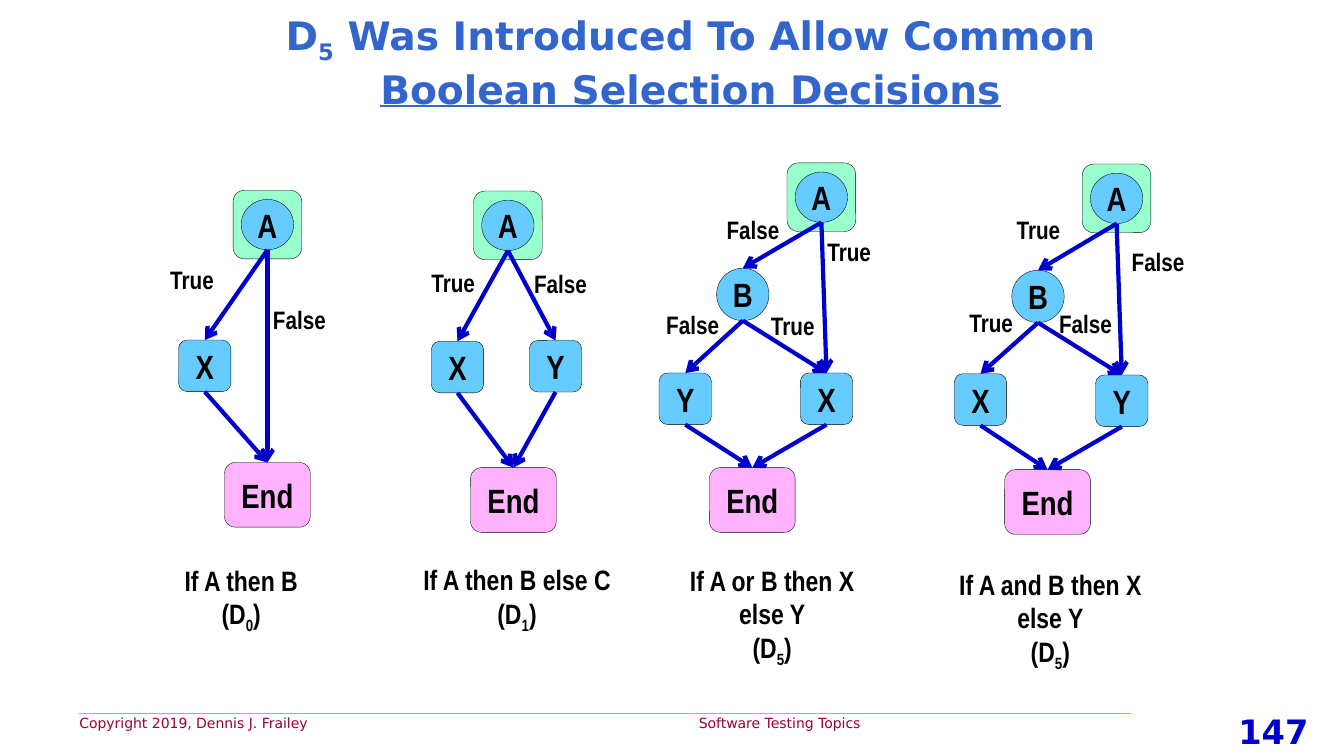
from lxml import etree
from pptx import Presentation
from pptx.dml.color import RGBColor
from pptx.enum import shapes, text
from pptx.oxml.ns import qn
from pptx.util import Cm, Pt

# Content: text pieces are (wording, style); lengths are centimetres
TITLE = [("D", ""), ("5", "sub"), (" Was Introduced To Allow Common ", ""),
         ("Boolean Selection Decisions", "underline")]
FOOTER = "Copyright 2019, Dennis J. Frailey\t Software Testing Topics"
PAGE = "147"

# Nodes by centre, arrows by node names, branch labels by left and top,
# caption by centre, top and width
DIAGRAMS = [
    dict(nodes={"A": (6.74, 5.66), "X": (5.16, 9.22), "End": (6.74, 12.47)},
         arrows=[("X", "End"), ("A", "X"), ("A", "End")],
         labels=[("True", 4.04, 6.53), ("False", 6.63, 7.54)],
         caption=("If A then B", "0", 6.08, 14.07, 4.04)),
    dict(nodes={"A": (12.8, 5.68), "X": (11.53, 9.25), "Y": (14, 9.23),
                "End": (12.94, 12.6)},
         arrows=[("X", "End"), ("Y", "End"), ("A", "X"), ("A", "Y")],
         labels=[("True", 10.62, 6.6), ("False", 13.21, 6.63)],
         caption=("If A then B else C", "1", 13.03, 14.05, 5.44)),
    dict(nodes={"A": (20.7, 4.97), "B": (18.72, 7.42), "X": (20.83, 10.05),
                "Y": (17.27, 10.05), "End": (18.96, 12.6)},
         arrows=[("B", "X"), ("B", "Y"), ("Y", "End"), ("A", "B"),
                 ("A", "X"), ("X", "End")],
         labels=[("True", 20.6, 5.84), ("False", 18.06, 5.28),
                 ("False", 16.54, 7.67), ("True", 19.18, 7.7)],
         caption=("If A or B then X else Y", "5", 19.46, 14.07, 5.44)),
    dict(nodes={"A": (28.14, 5), "B": (26.16, 7.47), "Y": (28.27, 10.1),
                "X": (24.71, 10.07), "End": (26.4, 12.65)},
         arrows=[("B", "Y"), ("B", "X"), ("X", "End"), ("A", "B"),
                 ("A", "Y"), ("Y", "End")],
         labels=[("True", 25.37, 5.28), ("False", 28.27, 6.07),
                 ("False", 26.44, 7.65), ("True", 24.18, 7.62)],
         caption=("If A and B then X else Y", "5", 26.47, 14.17, 5.44)),
]

# Node looks: shape, width, height, fill
ROUND, OVAL = shapes.MSO_SHAPE.ROUNDED_RECTANGLE, shapes.MSO_SHAPE.OVAL
STEP = (ROUND, 1.32, 1.3, "66CCFF")
LOOKS = {"A": (OVAL, 1.32, 1.27, "66CCFF"), "B": (OVAL, 1.32, 1.32, "66CCFF"),
         "X": STEP, "Y": STEP, "End": (ROUND, 2.16, 1.63, "FFB3FF")}
START_HALO = (ROUND, 1.73, 1.73, "99FFCC")
LABEL_WIDTHS = {"True": 1.7, "False": 2}
NARROW, WIDE = "Arial Narrow", "DejaVu Sans"
CENTER = text.PP_ALIGN.CENTER

prs = Presentation()
prs.slide_width, prs.slide_height = Cm(33.87), Cm(19.05)
slide = prs.slides.add_slide(prs.slide_layouts[6])


def color(hex_string):
    return RGBColor.from_string(hex_string)


def style(paragraph, size, face=NARROW, ink="000000", bold=True, align=None):
    font = paragraph.font
    font.size, font.name, font.bold = Pt(size), face, bold
    font.color.rgb = color(ink)
    paragraph.alignment = align


def add_pieces(paragraph, pieces):
    for wording, look in pieces:
        run = paragraph.add_run()
        run.text = wording
        if look == "sub":
            run._r.get_or_add_rPr().set("baseline", "-25000")
        elif look == "underline":
            run.font.underline = True


def add_text(left, top, width, height):
    frame = slide.shapes.add_textbox(Cm(left), Cm(top), Cm(width), Cm(height)).text_frame
    frame.word_wrap = True
    return frame


def add_node(center, look, wording=""):
    (x, y), (kind, width, height, fill) = center, look
    node = slide.shapes.add_shape(kind, Cm(x - width / 2), Cm(y - height / 2),
                                  Cm(width), Cm(height))
    node.shadow.inherit = False
    node.fill.solid()
    node.fill.fore_color.rgb = color(fill)
    node.line.color.rgb = color("000000")
    node.line.width = Pt(0.25)
    if wording:
        frame = node.text_frame
        frame.margin_left = frame.margin_right = frame.margin_top = frame.margin_bottom = 0
        frame.word_wrap = False
        frame.vertical_anchor = text.MSO_ANCHOR.MIDDLE
        frame.text = wording
        style(frame.paragraphs[0], 24, align=CENTER)
    return node


def add_line(x1, y1, x2, y2, ink, width):
    line = slide.shapes.add_connector(shapes.MSO_CONNECTOR.STRAIGHT, x1, y1, x2, y2)
    line.line.color.rgb = color(ink)
    line.line.width = Pt(width)
    etree.SubElement(line._element.spPr, qn("a:effectLst"))
    return line


def add_arrow(source, target):
    arrow = add_line(source.left + source.width // 2, source.top + source.height,
                     target.left + target.width // 2, target.top, "0000CC", 3)
    if source.auto_shape_type == ROUND:
        arrow.begin_connect(source, 2)
    arrow.end_connect(target, 0)
    etree.SubElement(arrow.line._get_or_add_ln(), qn("a:tailEnd"), type="arrow")


# Footer
add_line(Cm(1.98), Cm(17.98), Cm(28.5), Cm(17.98), "FF9933", 0.75)
footer = add_text(1.75, 17.88, 27.03, 0.69).paragraphs[0]
add_pieces(footer, [(FOOTER, "")])
tabs = etree.SubElement(footer._p.get_or_add_pPr(), qn("a:tabLst"))
etree.SubElement(tabs, qn("a:tab"), pos=str(Cm(15.5)), algn="l")
style(footer, 10, WIDE, "990033", bold=False)
page = add_text(30.3, 17.78, 3.58, 1.27).paragraphs[0]
page.text = PAGE
style(page, 24, WIDE, "0000CC", align=CENTER)

# Title
title = add_text(6.68, 0.36, 21.44, 2.41)
title.vertical_anchor = text.MSO_ANCHOR.MIDDLE
add_pieces(title.paragraphs[0], TITLE)
style(title.paragraphs[0], 28, WIDE, "3366CC", align=CENTER)

# Decision diagrams
for diagram in DIAGRAMS:
    add_node(diagram["nodes"]["A"], START_HALO)
    nodes = {name: add_node(center, LOOKS[name], name)
             for name, center in diagram["nodes"].items()}
    for source, target in diagram["arrows"]:
        add_arrow(nodes[source], nodes[target])
    for answer, left, top in diagram["labels"]:
        label = add_text(left, top, LABEL_WIDTHS[answer], 1.02).paragraphs[0]
        label.text = answer
        style(label, 18)

    rule, level, middle, top, width = diagram["caption"]
    height = 2.82 if level == "5" else 1.96
    caption = add_text(middle - width / 2, top, width, height)
    add_pieces(caption.paragraphs[0], [(rule, "")])
    add_pieces(caption.add_paragraph(), [("(D", ""), (level, "sub"), (")", "")])
    for paragraph in caption.paragraphs:
        style(paragraph, 20, align=CENTER)

prs.save("out.pptx")
